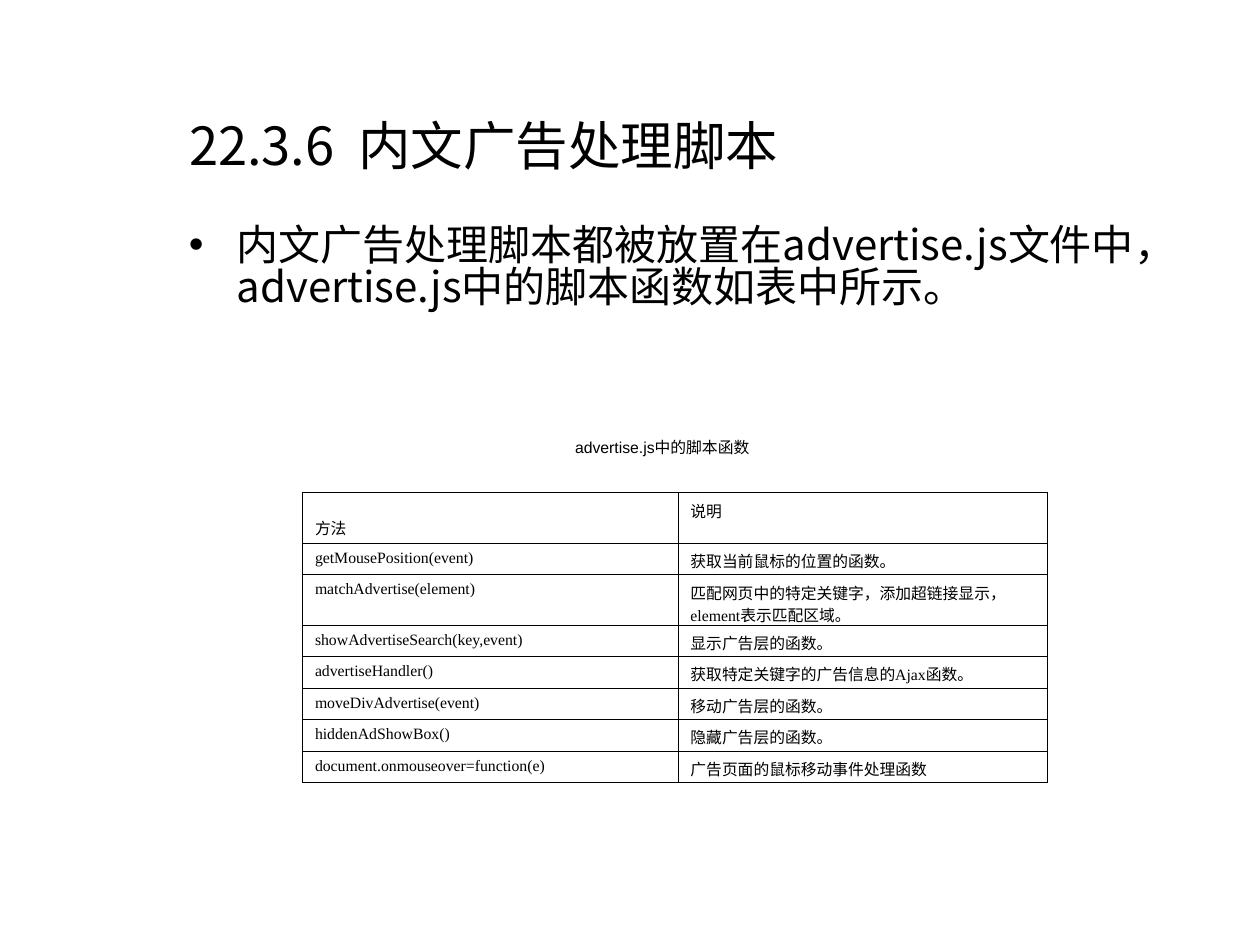
from dataclasses import dataclass
from typing import NamedTuple

from lxml.etree import SubElement
from pptx import Presentation
from pptx.dml.color import RGBColor
from pptx.enum.text import MSO_ANCHOR as Anchor, MSO_AUTO_SIZE as AutoSize, PP_ALIGN as Align
from pptx.oxml.ns import qn
from pptx.util import Inches, Pt


@dataclass(frozen=True)
class Theme:
    ink: RGBColor = RGBColor(0, 0, 0)
    paper: RGBColor = RGBColor(255, 255, 255)
    heading_font: str = "Noto Sans CJK SC"
    caption_font: str = "Arial"
    table_font: str = "Times New Roman"
    title_size: float = 30
    body_size: float = 24
    small_size: float = 9
    border_width: float = 0.45


class Box(NamedTuple):
    left: float
    top: float
    width: float
    height: float


class ScriptFunction(NamedTuple):
    method: str
    description: str


THEME = Theme()
TITLE_BOX = Box(1.4, 0.75, 7.75, 0.8)
BODY_BOX = Box(1.4, 1.75, 7.77, 5.07)
CAPTION_BOX = Box(4.45, 3.42, 1.61, 0.25)
TABLE_BOX = Box(2.4, 3.91, 5.91, 2.3)
COLUMN_WIDTHS = (2.98, 2.93)
ROW_HEIGHT = 0.25
TALL_ROW_HEIGHT = 0.4
TALL_ROWS = (0, 2)
BODY_INDENT = 0.38
FUNCTIONS = (
    ScriptFunction("方法", "说明"),
    ScriptFunction("getMousePosition(event)", "获取当前鼠标的位置的函数。"),
    ScriptFunction("matchAdvertise(element)", "匹配网页中的特定关键字，添加超链接显示，element表示匹配区域。"),
    ScriptFunction("showAdvertiseSearch(key,event)", "显示广告层的函数。"),
    ScriptFunction("advertiseHandler()", "获取特定关键字的广告信息的Ajax函数。"),
    ScriptFunction("moveDivAdvertise(event)", "移动广告层的函数。"),
    ScriptFunction("hiddenAdShowBox()", "隐藏广告层的函数。"),
    ScriptFunction("document.onmouseover=function(e)", "广告页面的鼠标移动事件处理函数"),
)


def add_run(paragraph, text: str, font_name: str, size: float) -> None:
    run = paragraph.add_run()
    run.text = text
    run.font.name = font_name
    run.font.size = Pt(size)
    run.font.color.rgb = THEME.ink
    SubElement(run.font._element, qn("a:ea"), typeface=THEME.heading_font)


def add_title(slide, text: str) -> None:
    title = slide.shapes.title
    title.left, title.top, title.width, title.height = map(Inches, TITLE_BOX)
    frame = title.text_frame
    frame.auto_size = AutoSize.NONE
    frame.vertical_anchor = Anchor.MIDDLE
    frame.paragraphs[0].alignment = Align.LEFT
    add_run(frame.paragraphs[0], text, THEME.heading_font, THEME.title_size)


def add_body(slide, text: str) -> None:
    frame = slide.shapes.add_textbox(*map(Inches, BODY_BOX)).text_frame
    frame.word_wrap = True
    paragraph = frame.paragraphs[0]
    paragraph.line_spacing = 0.84
    properties = paragraph._p.get_or_add_pPr()
    properties.set("marL", str(Inches(BODY_INDENT)))
    properties.set("indent", str(-Inches(BODY_INDENT)))
    SubElement(properties, qn("a:buFont"), typeface=THEME.caption_font)
    SubElement(properties, qn("a:buChar"), char="•")
    add_run(paragraph, text, THEME.heading_font, THEME.body_size)


def add_caption(slide, text: str) -> None:
    frame = slide.shapes.add_textbox(*map(Inches, CAPTION_BOX)).text_frame
    frame.word_wrap = False
    frame.auto_size = AutoSize.SHAPE_TO_FIT_TEXT
    frame.vertical_anchor = Anchor.MIDDLE
    frame.paragraphs[0].alignment = Align.CENTER
    add_run(frame.paragraphs[0], text, THEME.caption_font, THEME.small_size)


def add_borders(cell) -> None:
    properties = cell._tc.get_or_add_tcPr()
    for side in ("lnL", "lnR", "lnT", "lnB"):
        line = SubElement(properties, qn(f"a:{side}"), w=str(Pt(THEME.border_width)))
        fill = SubElement(line, qn("a:solidFill"))
        SubElement(fill, qn("a:srgbClr"), val=str(THEME.ink))


def fill_cell(cell, text: str) -> None:
    cell.margin_left = cell.margin_right = Inches(0.1)
    cell.margin_top = Inches(0.05)
    cell.margin_bottom = 0
    add_borders(cell)
    cell.fill.solid()
    cell.fill.fore_color.rgb = THEME.paper
    add_run(cell.text_frame.paragraphs[0], text, THEME.table_font, THEME.small_size)


def add_function_table(slide, functions: tuple[ScriptFunction, ...]) -> None:
    table = slide.shapes.add_table(len(functions), len(COLUMN_WIDTHS), *map(Inches, TABLE_BOX)).table
    table.first_row = table.horz_banding = False
    for column, width in zip(table.columns, COLUMN_WIDTHS):
        column.width = Inches(width)
    for index, function in enumerate(functions):
        height = TALL_ROW_HEIGHT if index in TALL_ROWS else ROW_HEIGHT
        table.rows[index].height = Inches(height)
        for cell, text in zip(table.rows[index].cells, function):
            fill_cell(cell, text)
    method_heading = table.cell(0, 0)
    method_heading.vertical_anchor = Anchor.BOTTOM
    method_heading.margin_bottom = Inches(0.03)


def main() -> None:
    """Build the slide on the advertising script functions and save it."""
    presentation = Presentation()
    presentation.slide_width = Inches(10)
    presentation.slide_height = Inches(7.5)
    slide = presentation.slides.add_slide(presentation.slide_layouts[5])
    add_title(slide, "22.3.6  内文广告处理脚本")
    add_body(slide, "内文广告处理脚本都被放置在advertise.js文件中，advertise.js中的脚本函数如表中所示。")
    add_caption(slide, "advertise.js中的脚本函数")
    add_function_table(slide, FUNCTIONS)
    presentation.save("out.pptx")


if __name__ == "__main__":
    main()
